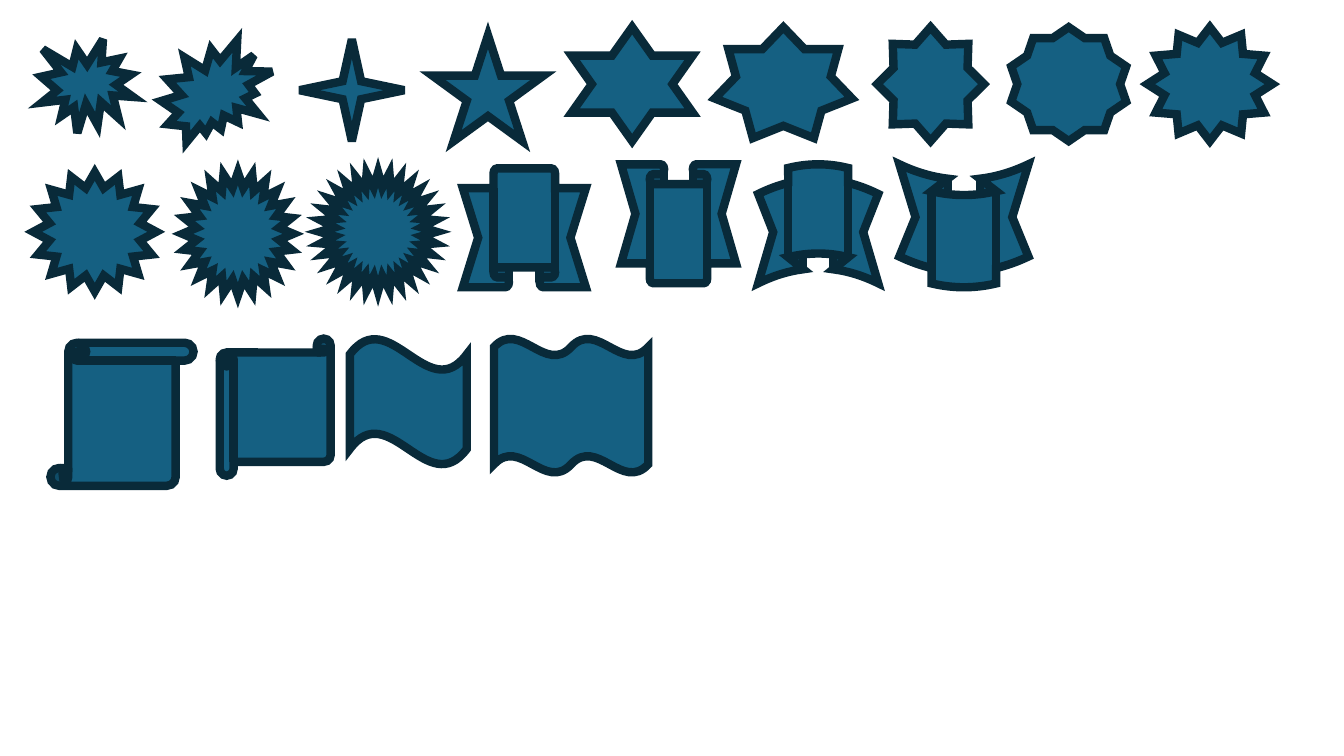
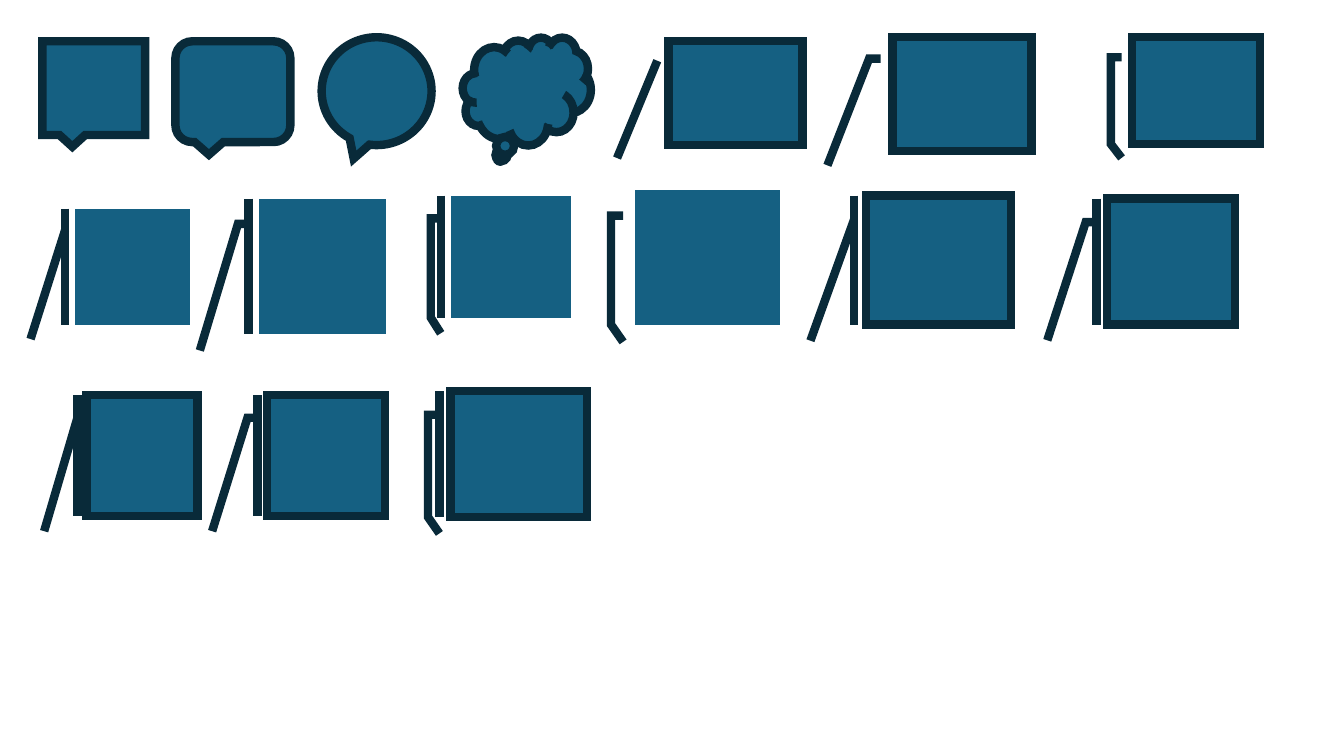
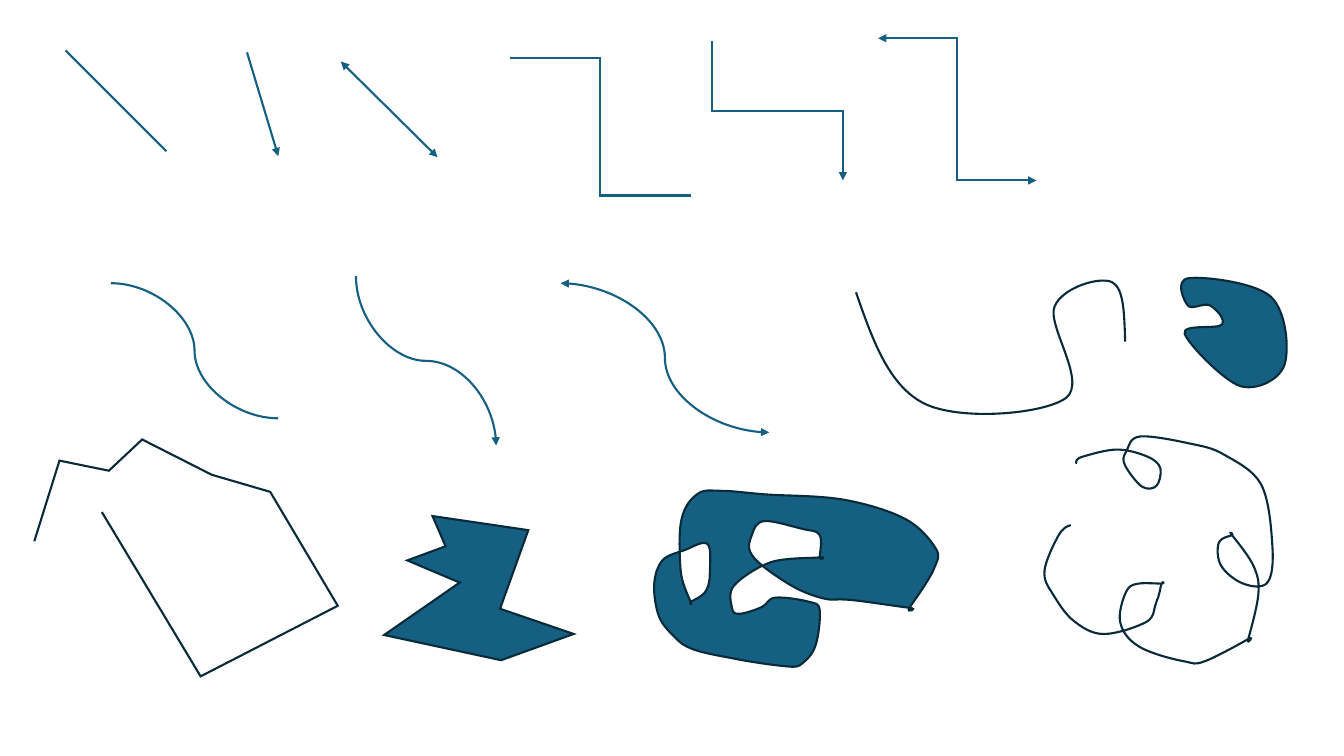
from itertools import islice

from lxml.etree import SubElement
from pptx import Presentation
from pptx.dml.color import RGBColor
from pptx.enum.shapes import MSO_CONNECTOR as LINK, MSO_SHAPE as SHAPE
from pptx.oxml.ns import qn
from pptx.util import Emu, Inches, Pt

PX = 9144  # EMU; 100 px to the inch
TEAL, NAVY = "156082", "092A39"
HEAVY, THIN = 6, 1.5

# Preset shapes: kind, left, top, width, height
STARS_AND_BANNERS = [
    (SHAPE.EXPLOSION1, 41, 39, 91, 93),
    (SHAPE.EXPLOSION2, 160, 40, 110, 101),
    (SHAPE.STAR_4_POINT, 297, 39, 104, 101),
    (SHAPE.STAR_5_POINT, 429, 35, 110, 105),
    (SHAPE.STAR_6_POINT, 567, 27, 120, 113),
    (SHAPE.STAR_7_POINT, 709, 27, 136, 110),
    (SHAPE.STAR_8_POINT, 870, 27, 106, 113),
    (SHAPE.STAR_10_POINT, 1003, 27, 114, 113),
    (SHAPE.STAR_12_POINT, 1138, 27, 124, 113),
    (SHAPE.STAR_16_POINT, 33, 171, 122, 118),
    (SHAPE.STAR_24_POINT, 181, 171, 110, 122),
    (SHAPE.STAR_32_POINT, 317, 171, 116, 118),
    (SHAPE.UP_RIBBON, 459, 167, 122, 118),
    (SHAPE.DOWN_RIBBON, 616, 163, 114, 118),
    (SHAPE.CURVED_UP_RIBBON, 752, 163, 119, 118),
    (SHAPE.CURVED_DOWN_RIBBON, 892, 163, 128, 122),
    (SHAPE.VERTICAL_SCROLL, 50, 340, 142, 142),
    (SHAPE.HORIZONTAL_SCROLL, 218, 336, 110, 136),
    (SHAPE.WAVE, 347, 336, 116, 125),
    (SHAPE.DOUBLE_WAVE, 490, 336, 153, 133),
]
CALLOUTS = [
    (SHAPE.RECTANGULAR_CALLOUT, 42, 41, 102, 93),
    (SHAPE.ROUNDED_RECTANGULAR_CALLOUT, 174, 41, 114, 100),
    (SHAPE.OVAL_CALLOUT, 319, 37, 109, 107),
    (SHAPE.CLOUD_CALLOUT, 459, 37, 127, 107),
    (SHAPE.LINE_CALLOUT_1, 663, 41, 133, 103),
    (SHAPE.LINE_CALLOUT_2, 885, 37, 138, 113),
    (SHAPE.LINE_CALLOUT_3, 1123, 37, 127, 106),
    (SHAPE.LINE_CALLOUT_1_ACCENT_BAR, 74, 207, 114, 115),
    (SHAPE.LINE_CALLOUT_2_ACCENT_BAR, 257, 197, 126, 134),
    (SHAPE.LINE_CALLOUT_3_ACCENT_BAR, 447, 194, 119, 121),
    (SHAPE.LINE_CALLOUT_3_NO_BORDER, 630, 189, 144, 133),
    (SHAPE.LINE_CALLOUT_1_BORDER_AND_ACCENT_BAR, 859, 194, 144, 128),
    (SHAPE.LINE_CALLOUT_2_BORDER_AND_ACCENT_BAR, 1098, 197, 127, 125),
    (SHAPE.LINE_CALLOUT_1_BORDER_AND_ACCENT_BAR, 86, 392, 110, 120),
    (SHAPE.LINE_CALLOUT_2_BORDER_AND_ACCENT_BAR, 265, 392, 117, 120),
    (SHAPE.LINE_CALLOUT_3_BORDER_AND_ACCENT_BAR, 447, 388, 135, 125),
]

# Connectors: kind, start, end, arrowheads, leaves vertically
AT_END, AT_BOTH = ("tailEnd",), ("headEnd", "tailEnd")
CONNECTORS = [
    (LINK.STRAIGHT, (65, 50), (165, 150), (), False),
    (LINK.STRAIGHT, (245, 52), (276, 155), AT_END, False),
    (LINK.STRAIGHT, (338, 61), (434, 156), AT_BOTH, False),
    (LINK.ELBOW, (506, 58), (685, 194), (), False),
    (LINK.ELBOW, (871, 38), (1028, 179), AT_BOTH, False),
    (LINK.ELBOW, (706, 41), (836, 179), AT_END, True),
    (LINK.CURVE, (110, 281), (276, 415), (), False),
    (LINK.CURVE, (353, 274), (492, 442), AT_END, True),
    (LINK.CURVE, (556, 281), (763, 429), AT_BOTH, False),
]

# Points that each outline passes through; a repeated point is a sharp corner
OPEN_CURVE = [(849, 290), (916, 400), (1057, 395), (1046, 304), (1103, 280), (1116, 339)]
CLOSED_CURVE = [(1179, 276), (1260, 294), (1274, 362), (1230, 383),
                (1175, 331), (1212, 322), (1200, 303), (1178, 303)]
OPEN_POLYGON = [(101, 508), (199, 671), (335, 601), (268, 488), (210, 471),
                (141, 436), (108, 467), (59, 457), (34, 537)]
CLOSED_POLYGON = [(429, 512), (524, 526), (496, 604), (569, 629), (497, 655),
                  (381, 630), (456, 578), (404, 556), (442, 542)]
CLOSED_SCRIBBLE = [
    (702, 540), (681, 545), (657, 556), (649, 578), (653, 610), (669, 632),
    (687, 644), (731, 654), (779, 661), (796, 658), (809, 640), (813, 605),
    (802, 597), (769, 593), (756, 602), (733, 609), (726, 603), (728, 581),
    (764, 558), (813, 553), (813, 553), (813, 531), (797, 525), (758, 517),
    (746, 530), (746, 551), (785, 581), (818, 594), (841, 595), (902, 603),
    (902, 603), (926, 565), (928, 544), (898, 515), (838, 496), (767, 491),
    (716, 487), (692, 490), (676, 515), (675, 565), (685, 597), (685, 597),
    (699, 588), (704, 570),
]
OPEN_SCRIBBLE = [
    (1062, 521), (1050, 531), (1036, 566), (1044, 589), (1065, 616), (1095, 629),
    (1137, 617), (1147, 597), (1152, 579), (1152, 579), (1129, 579), (1117, 587),
    (1111, 617), (1129, 641), (1174, 656), (1195, 656), (1238, 634), (1238, 634),
    (1248, 590), (1244, 563), (1222, 531), (1222, 531), (1209, 538), (1211, 561),
    (1233, 579), (1257, 578), (1262, 542), (1251, 481), (1214, 451), (1180, 440),
    (1131, 433), (1117, 448), (1116, 462), (1133, 483), (1147, 482), (1151, 465),
    (1138, 453), (1108, 446), (1074, 453), (1067, 460),
]

# Freeforms: anchors, curved, closed and filled
FREEFORMS = [
    (OPEN_CURVE, True, False),
    (OPEN_POLYGON, False, False),
    (CLOSED_CURVE, True, True),
    (CLOSED_POLYGON, False, True),
    (CLOSED_SCRIBBLE, True, True),
    (OPEN_SCRIBBLE, True, False),
]


def color(hex_code):
    return RGBColor.from_string(hex_code)


def style_line(item, hex_code, weight, arrowheads=()):
    item.line.color.rgb = color(hex_code)
    item.line.width = Pt(weight)
    ln = item.line._get_or_add_ln()
    SubElement(ln, qn("a:miter"), lim="800000")
    for end in arrowheads:
        SubElement(ln, qn(f"a:{end}"), type="triangle")


def style_shape(shape, weight, filled=True):
    shape.shadow.inherit = False
    if filled:
        shape.fill.solid()
        shape.fill.fore_color.rgb = color(TEAL)
    else:
        shape.fill.background()
    style_line(shape, NAVY, weight)


def add_presets(slide, presets):
    for kind, *box in presets:
        style_shape(slide.shapes.add_shape(kind, *(Emu(v * PX) for v in box)), HEAVY)


def add_link(slide, kind, start, end, arrowheads, vertical):
    (x1, y1), (x2, y2) = start, end
    if vertical:
        # A quarter turn swaps width and height about the same centre
        shift = (x2 - x1 - y2 + y1) / 2
        x1, y1, x2, y2 = x1 + shift, y1 - shift, x2 - shift, y2 + shift
    link = slide.shapes.add_connector(kind, *(Emu(int(v * PX)) for v in (x1, y1, x2, y2)))
    if vertical:
        xfrm = link._element.spPr.find(qn("a:xfrm"))
        xfrm.set("rot", str(270 * 60000))
        xfrm.set("flipH", "1")
    style_line(link, TEAL, THIN, arrowheads)
    SubElement(link._element.spPr, qn("a:effectLst"))


def curve_points(anchors, closed):
    """Return two controls and an end per curve, each tangent following the neighbours."""
    count = len(anchors)
    points = []
    for i in range(count if closed else count - 1):
        start, end = anchors[i], anchors[(i + 1) % count]
        before, after = anchors[i - 1], anchors[(i + 2) % count]
        leave = [s + (e - b) / 6 for b, s, e in zip(before, start, end)]
        arrive = [e - (a - s) / 6 for s, e, a in zip(start, end, after)]
        if not closed and i == 0:
            leave = [(s + c) / 2 for s, c in zip(start, arrive)]
        if not closed and i == count - 2:
            arrive = [(c + e) / 2 for c, e in zip(leave, end)]
        points += [tuple(round(v) for v in point) for point in (leave, arrive, end)]
    return points


def add_freeform(slide, anchors, curved, closed):
    """Draw every point as a line, then merge each three points of a curve into a Bézier."""
    points = curve_points(anchors, closed) if curved else anchors[1:]
    builder = slide.shapes.build_freeform(*anchors[0], scale=PX)
    builder.add_line_segments(points, close=closed)
    shape = builder.convert_to_shape()
    if curved:
        outline = next(shape._element.iter(qn("a:path")))
        steps = iter(outline.findall(qn("a:lnTo")))
        for step in steps:
            step.tag = qn("a:cubicBezTo")
            for extra in list(islice(steps, 2)):
                step.append(extra[0])
                outline.remove(extra)
    style_shape(shape, THIN, filled=closed)


def main():
    deck = Presentation()
    deck.slide_width, deck.slide_height = Inches(13.33), Inches(7.5)
    blank = deck.slide_layouts[6]
    for presets in (STARS_AND_BANNERS, CALLOUTS):
        add_presets(deck.slides.add_slide(blank), presets)
    lines = deck.slides.add_slide(blank)
    for connector in CONNECTORS:
        add_link(lines, *connector)
    for freeform in FREEFORMS:
        add_freeform(lines, *freeform)
    deck.save("out.pptx")


if __name__ == "__main__":
    main()
